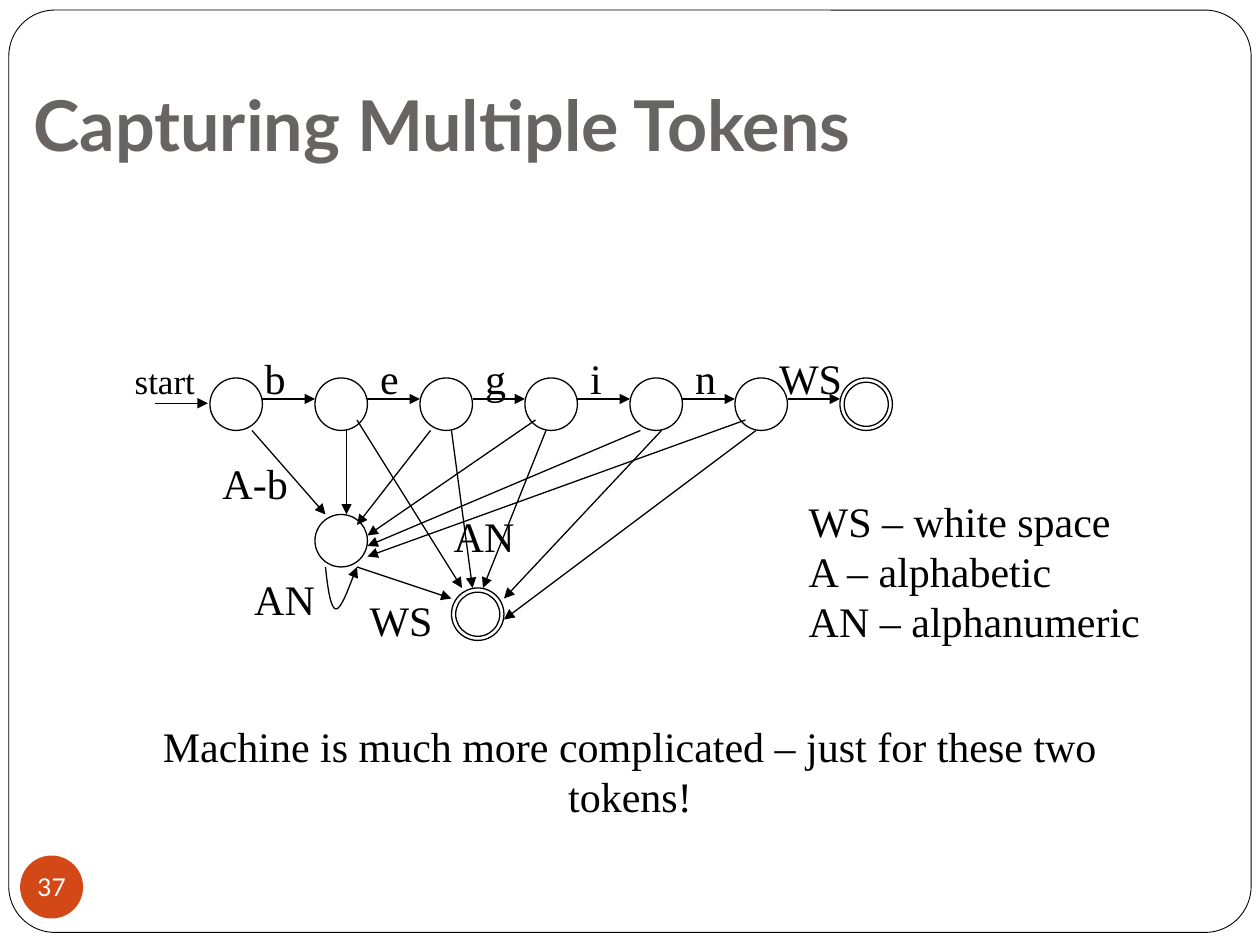
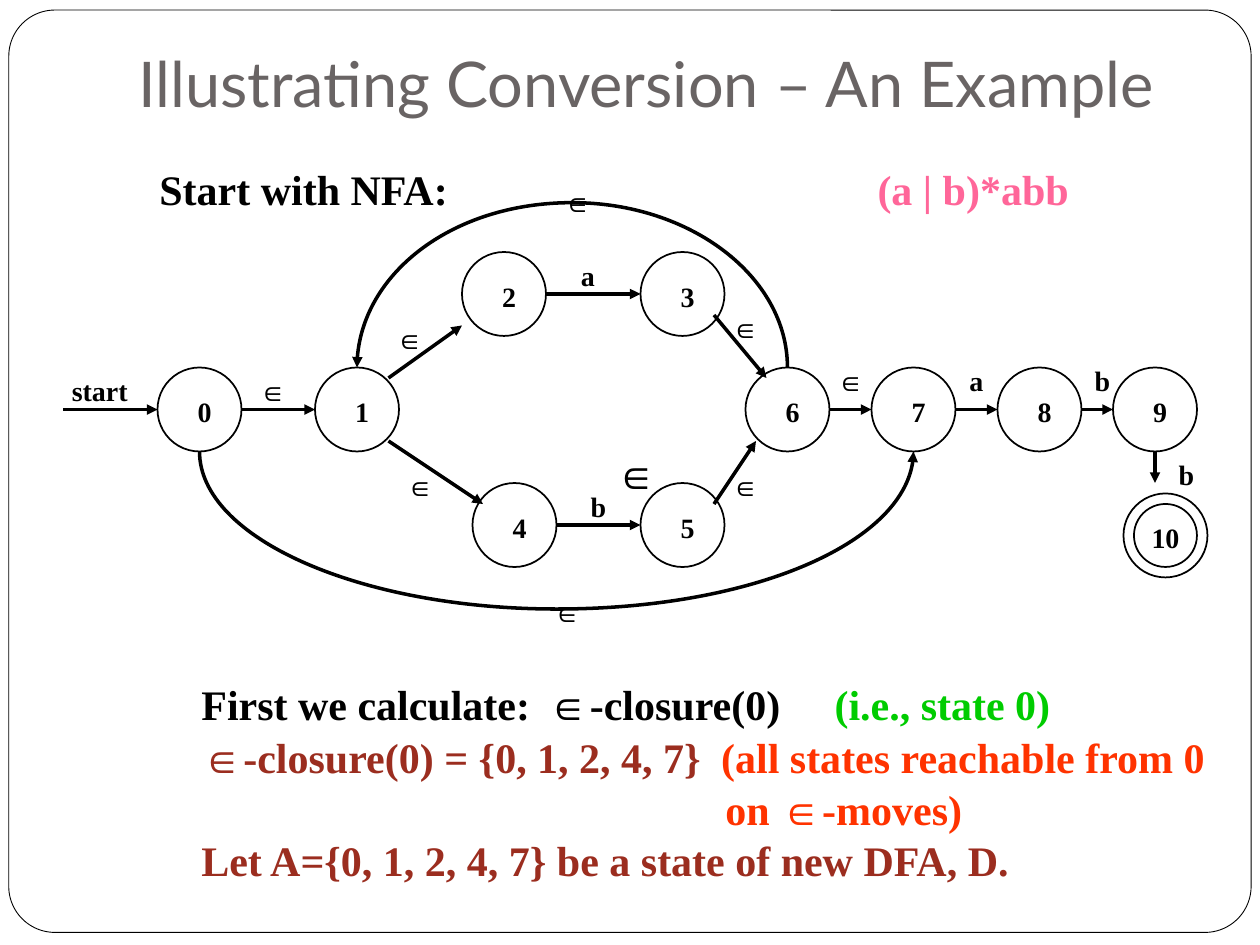
"""Build two slides about finite automata on a grid of 120 columns by 90 rows."""
from dataclasses import dataclass

import pptx
import pptx.dml.color
import pptx.enum.shapes
import pptx.enum.text
import pptx.oxml
import pptx.oxml.ns
import pptx.util
from lxml import etree

COLUMNS, ROWS = 120, 90
CELL = pptx.util.Inches(10) // COLUMNS
CENTER = pptx.enum.text.PP_ALIGN.CENTER
LEFT = pptx.enum.text.PP_ALIGN.LEFT
SHAPES = pptx.enum.shapes.MSO_SHAPE
qn = pptx.oxml.ns.qn


@dataclass(frozen=True)
class Theme:
    """Colours, fonts, type sizes and line widths."""
    ink: str = "000000"
    paper: str = "FFFFFF"
    title: str = "696464"
    badge: str = "D34817"
    expression: str = "FF6699"
    note: str = "00CC00"
    result: str = "9B2D1F"
    remark: str = "FF3300"
    heading_font: str = "Lato"
    body_font: str = "Times New Roman"
    body: int = 24
    start: int = 20
    small: int = 16
    badge_size: int = 14
    frame_line: float = 0.5
    thin: float = 0.75
    ring: float = 1
    thick: float = 2


THEME = Theme()


def cells(*values):
    """Turn counts of grid cells into lengths."""
    return [pptx.util.Emu(round(value * CELL)) for value in values]


def color(name):
    """Turn a hexadecimal string into a colour."""
    return pptx.dml.color.RGBColor.from_string(name)


def format_font(font, size, ink=THEME.ink, name=THEME.body_font, bold=False):
    """Set the look of a run."""
    font.size, font.name, font.bold = pptx.util.Pt(size), name, bold
    font.color.rgb = color(ink)


def format_line(shape, width, arrow=False):
    """Draw a line in ink, with an arrowhead at its end if asked."""
    shape.line.width = pptx.util.Pt(width)
    shape.line.color.rgb = color(THEME.ink)
    if arrow:
        line = shape._element.spPr.get_or_add_ln()
        etree.SubElement(line, qn("a:tailEnd"), type="triangle")


def add_outline(slide, kind, box, width, fill=None):
    """Add a preset shape without shadow."""
    shape = slide.shapes.add_shape(kind, *cells(*box))
    shape.shadow.inherit = False
    if fill:
        shape.fill.solid()
        shape.fill.fore_color.rgb = color(fill)
    else:
        shape.fill.background()
    if width:
        format_line(shape, width)
    else:
        shape.line.fill.background()
    return shape


def add_state(slide, column, row, size, width, inset=0):
    """Add a circle for a state, doubled by an inner ring if it accepts."""
    add_outline(slide, SHAPES.OVAL, (column, row, size, size), width)
    if inset:
        inner = size - 2 * inset
        add_outline(slide, SHAPES.OVAL, (column + inset, row + inset, inner, inner), width)


def add_arrows(slide, arrows, width):
    """Add straight arrows given as start column, row, end column, row."""
    for arrow in arrows:
        connector = slide.shapes.add_connector(
            pptx.enum.shapes.MSO_CONNECTOR.STRAIGHT, *cells(*arrow))
        format_line(connector, width, arrow=True)
        etree.SubElement(connector._element.spPr, qn("a:effectLst"))


def add_curve(slide, points, width):
    """Add a curved arrow through Bezier points: a start, then triples."""
    start, *rest = [cells(*point) for point in points]
    builder = slide.shapes.build_freeform(*start)
    builder.add_line_segments(rest, close=False)
    shape = builder.convert_to_shape()
    segments = list(shape._element.iter(qn("a:lnTo")))
    for index in range(0, len(segments), 3):
        curve = etree.SubElement(segments[index].getparent(), qn("a:cubicBezTo"))
        for segment in segments[index:index + 3]:
            curve.append(segment[0])
            segment.getparent().remove(segment)
    shape.fill.background()
    shape.shadow.inherit = False
    format_line(shape, width, arrow=True)


def add_arc(slide, start, end, row, depth, width):
    """Add half an ellipse as an arrow between two columns of a row."""
    middle, bottom, pull = (start + end) / 2, row + depth, 0.55
    reach = (end - start) / 2 * pull
    add_curve(slide, [(start, row), (start, row + depth * pull), (middle - reach, bottom),
                      (middle, bottom), (middle + reach, bottom),
                      (end, row + depth * pull), (end, row)], width)


def add_text(slide, lines, column, row, width, size=THEME.body, align=CENTER,
             wrap=True, bold=False):
    """Add lines of text, each a list of pairs of wording and colour."""
    height = (1.2 + 0.2 * size) * len(lines)
    box = slide.shapes.add_textbox(*cells(column, row, width, height))
    frame = box.text_frame
    frame.word_wrap = wrap
    for index, line in enumerate(lines):
        paragraph = frame.paragraphs[0] if index == 0 else frame.add_paragraph()
        paragraph.alignment = align
        for wording, ink in line:
            run = paragraph.add_run()
            run.text = wording
            format_font(run.font, size, ink, bold=bold)
    return frame.paragraphs


def add_label(slide, wording, *place, **style):
    """Add one line of text in ink."""
    return add_text(slide, [[(wording, THEME.ink)]], *place, **style)


def set_tabs(paragraph, *columns):
    """Set left tab stops, counted from the edge of the text."""
    tabs = etree.SubElement(paragraph._element.get_or_add_pPr(), qn("a:tabLst"))
    for position in cells(*columns):
        etree.SubElement(tabs, qn("a:tab"), pos=str(position), algn="l")


def add_frame(slide):
    """Draw the rounded frame and move it behind all slides of the layout."""
    frame = add_outline(slide, SHAPES.ROUNDED_RECTANGLE, (0.84, 0.96, 118.32, 87.84),
                        THEME.frame_line, THEME.paper)
    frame.adjustments[0] = 0.05
    frame._element.nvSpPr.cNvPr.id = 20
    slide.slide_layout.shapes.element.insert(2, frame._element)


def add_slide(presentation, layout, title, box, size, bottom, bold=False):
    """Add a slide with its title placed and formatted."""
    slide = presentation.slides.add_slide(layout)
    shape = slide.shapes.title
    shape.left, shape.top, shape.width, shape.height = cells(*box)
    frame = shape.text_frame
    frame.text = title
    frame.auto_size = pptx.enum.text.MSO_AUTO_SIZE.NONE
    frame.vertical_anchor = pptx.enum.text.MSO_ANCHOR.BOTTOM
    frame.margin_bottom = pptx.util.Inches(bottom)
    paragraph = frame.paragraphs[0]
    paragraph.alignment = LEFT
    format_font(paragraph.runs[0].font, size, THEME.title, THEME.heading_font, bold)
    return slide


def add_badge(slide, number):
    """Add the round page number."""
    badge = add_outline(slide, SHAPES.OVAL, (1.92, 81.48, 6, 6), 0, THEME.badge)
    frame = badge.text_frame
    frame.text = number
    frame.word_wrap = False
    frame.margin_left = frame.margin_right = frame.margin_top = frame.margin_bottom = 0
    frame.vertical_anchor = pptx.enum.text.MSO_ANCHOR.MIDDLE
    frame.paragraphs[0].alignment = CENTER
    format_font(frame.paragraphs[0].runs[0].font, THEME.badge_size, THEME.paper,
                THEME.heading_font)


def draw_token_machine(slide):
    """Draw the machine for a keyword and an identifier."""
    for column in range(20, 80, 10):
        add_state(slide, column, 36, 5, THEME.thin)
    add_state(slide, 30, 49, 5, THEME.thin)
    for column, row in ((80, 36), (43, 56)):
        add_state(slide, column, row, 5, THEME.thin, inset=0.4)

    along_keyword = [(column, 38, column + 5, 38) for column in range(25, 80, 10)]
    to_identifier = [(24, 41, 31, 49), (33, 41, 33, 49), (41, 41, 34, 50),
                     (51, 40, 35, 51), (61, 41, 35, 52), (71, 40, 35, 53)]
    to_accept = [(34, 54, 43, 57), (34, 40, 44, 56), (43, 41, 45, 56),
                 (52, 41, 46, 56), (63, 41, 48, 57), (72, 41, 48, 59)]
    start = [(14.8, 38.4, 19.8, 38.4)]
    add_arrows(slide, start + along_keyword + to_identifier + to_accept, THEME.thin)
    add_curve(slide, [(31, 54), (31.2, 56), (31.5, 58), (32, 58),
                      (32.5, 58), (33.7, 54.7), (34, 54)], THEME.thin)

    labels = [("b", 24, 33, 4.4), ("e", 35, 33, 4.2), ("g", 45, 33, 4.4),
              ("i", 55, 33, 3.5), ("n", 65, 33, 4.4), ("WS", 73, 33, 8.4),
              ("A-b", 20, 43, 8.6), ("AN", 23, 54, 8.2), ("WS", 34, 56, 8.4),
              ("AN", 42, 48, 8.2)]
    for label in labels:
        add_label(slide, *label, wrap=False)
    add_label(slide, "start", 11.6, 33.6, 8.2, size=THEME.start, wrap=False)
    legend = ["WS – white space", "A – alphabetic", "AN – alphanumeric"]
    add_text(slide, [[(line, THEME.ink)] for line in legend], 75.84, 46.56, 34,
             align=LEFT, wrap=False)
    add_label(slide, "Machine is much more complicated – just for these two tokens!",
              8, 68, 104)


def draw_nfa(slide):
    """Draw the numbered states and the moves between them."""
    states = [(15, 35), (30, 35), (44, 24), (61, 24), (45, 46), (61, 46),
              (71, 35), (83, 35), (95, 35), (106, 35)]
    small = {"size": THEME.small, "bold": True}
    for number, (column, row) in enumerate(states):
        add_state(slide, column, row, 8, THEME.ring)
        add_label(slide, str(number), column + 2, row + 2, 5, **small)
    add_state(slide, 107, 47, 8, THEME.ring, inset=1)

    add_arrows(slide, [
        (6, 39, 15, 39), (23, 39, 30, 39), (37, 36, 44, 31), (37, 42, 46, 48),
        (52, 28, 61, 28), (53, 50, 61, 50), (68, 30, 73, 36), (68, 48, 72, 42),
        (79, 39, 83, 39), (91, 39, 95, 39), (103, 39, 106, 39), (110, 43, 110, 46),
    ], THEME.thick)
    add_arc(slide, 19, 87, 43, 15, THEME.thick)
    add_arc(slide, 75, 34, 35, -15.7, THEME.thick)

    moves = {"∈": [(23, 35), (36, 30), (37, 44), (51, 56), (52, 17), (68, 29),
                   (68, 44), (78, 34)],
             "a": [(90, 34), (53, 24)],
             "b": [(54, 46), (102, 34), (110, 43)],
             "10": [(108, 49)]}
    for wording, places in moves.items():
        for column, row in places:
            add_label(slide, wording, column, row, 6, **small)
    add_label(slide, "start", 4, 35, 11, **small)
    add_label(slide, "∈", 57.4, 42, 5.3, wrap=False, bold=True)


def write_closure(slide):
    """Write the expression and the steps of the closure."""
    heading = add_text(slide, [[("Start with NFA:\t", THEME.ink),
                                ("(a | b)*abb", THEME.expression)]],
                       14, 15, 103, align=LEFT, bold=True)
    set_tabs(heading[0], 68.4)
    steps = add_text(slide, [
        [("First we calculate:\t∈-closure(0)\t", THEME.ink), ("(i.e., state 0)", THEME.note)],
        [("∈-closure(0) = {0, 1, 2, 4, 7}\t", THEME.result),
         ("(all states reachable from 0", THEME.remark)],
        [("\ton ∈-moves)", THEME.remark)],
        [("Let A={0, 1, 2, 4, 7} be a state of new DFA, D.", THEME.result)],
    ], 18, 64, 99, align=LEFT, bold=True)
    for step, tabs in zip(steps, [(33, 60.3), (49.5,), (49.9,)]):
        set_tabs(step, *tabs)
    for step in steps[1:]:
        step.line_spacing = 0.6
        step.space_before = pptx.util.Pt(THEME.body / 2)


def main():
    """Build and save the presentation."""
    presentation = pptx.Presentation()
    presentation.slide_width, presentation.slide_height = cells(COLUMNS, ROWS)
    layout = presentation.slide_layouts.get_by_name("Title Only")

    tokens = add_slide(presentation, layout, "Capturing Multiple Tokens",
                       (2, 2, 100, 15), 40, 0.1, bold=True)
    add_frame(tokens)
    add_badge(tokens, "37")
    draw_token_machine(tokens)

    conversion = add_slide(presentation, layout, "Illustrating Conversion – An Example",
                           (12, 3.6, 102, 8.4), 36, 0.05)
    draw_nfa(conversion)
    write_closure(conversion)
    presentation.save("out.pptx")


if __name__ == "__main__":
    main()
